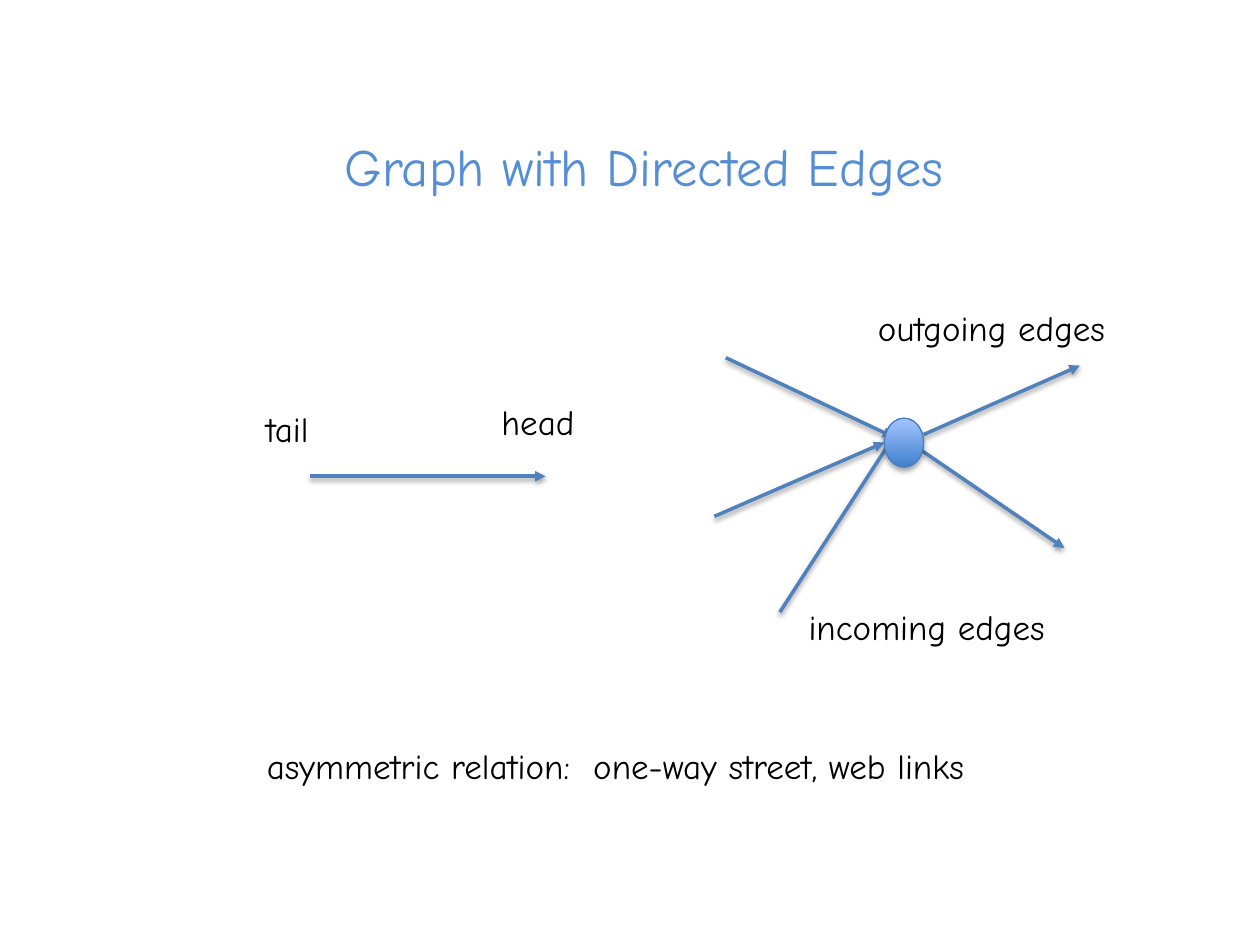
from dataclasses import dataclass

import pptx
import pptx.dml.color
import pptx.enum.shapes
import pptx.enum.text
import pptx.oxml
import pptx.oxml.ns
import pptx.util
from pptx.util import Cm


@dataclass(frozen=True)
class Theme:
    font: str = "Comic Neue"
    title_size: int = 30
    label_size: int = 20
    title_color: str = "558ED5"
    text_color: str = "000000"
    edge_color: str = "4F81BD"
    edge_width: float = 2
    node_bottom: str = "3F80CE"
    node_top: str = "A4C4FF"
    node_line: str = "4B7EBC"
    node_line_width: float = 0.75


@dataclass(frozen=True)
class Label:
    """A line of text; lengths in centimetres."""
    text: str
    left: float
    top: float
    width: float
    height: float = 1.12


@dataclass(frozen=True)
class Edge:
    """A directed edge from tail to head; points in centimetres."""
    tail: tuple[float, float]
    head: tuple[float, float]


THEME = Theme()

TITLE = Label("Graph with Directed Edges", 3.18, 1.65, 19.61, 3.38)
LABELS = [
    Label("tail", 5.11, 8.1, 2.26),
    Label("head", 9.86, 7.95, 2.26),
    Label("outgoing edges", 17.45, 6.05, 5.66),
    Label("incoming edges", 16.05, 12.09, 5.66),
    Label("asymmetric relation:  one-way street, web links", 5.13, 14.88, 23.44),
]

SINGLE_EDGE = Edge((6.25, 9.6), (11, 9.6))
INCOMING = [
    Edge((14.63, 7.21), (18.01, 8.81)),
    Edge((14.4, 10.41), (17.83, 8.92)),
    Edge((15.72, 12.34), (18.01, 8.81)),
]
OUTGOING = [
    Edge((18.62, 8.76), (21.77, 7.37)),
    Edge((18.59, 9.09), (21.46, 11.05)),
]
NODE_BOX = (17.83, 8.43, 0.79, 0.99)


def rgb(color: str) -> pptx.dml.color.RGBColor:
    return pptx.dml.color.RGBColor.from_string(color)


def add_shadow(shape, distance: float, opacity: int) -> None:
    """Give the shape a soft shadow straight below it."""
    shape._element.spPr.append(pptx.oxml.parse_xml(
        f'<a:effectLst {pptx.oxml.ns.nsdecls("a")}>'
        f'<a:outerShdw blurRad="{pptx.util.Pt(3.1)}" dist="{pptx.util.Pt(distance)}"'
        ' dir="5400000" rotWithShape="0"><a:srgbClr val="000000">'
        f'<a:alpha val="{opacity * 1000}"/></a:srgbClr></a:outerShdw></a:effectLst>'))


def add_label(s, label: Label, size: int, color: str):
    box = s.shapes.add_textbox(
        Cm(label.left), Cm(label.top), Cm(label.width), Cm(label.height))
    tf = box.text_frame
    tf.word_wrap = True
    tf.text = label.text
    r = tf.paragraphs[0].runs[0]
    r.font.name = THEME.font
    r.font.size = pptx.util.Pt(size)
    r.font.color.rgb = rgb(color)
    return tf


def add_title(s) -> None:
    tf = add_label(s, TITLE, THEME.title_size, THEME.title_color)
    tf.vertical_anchor = pptx.enum.text.MSO_ANCHOR.MIDDLE
    tf.paragraphs[0].alignment = pptx.enum.text.PP_ALIGN.CENTER


def add_edge(s, edge: Edge) -> None:
    line = s.shapes.add_connector(
        pptx.enum.shapes.MSO_CONNECTOR.STRAIGHT,
        *map(Cm, edge.tail + edge.head))
    line.line.color.rgb = rgb(THEME.edge_color)
    line.line.width = pptx.util.Pt(THEME.edge_width)
    line.line._get_or_add_ln().append(pptx.oxml.parse_xml(
        f'<a:tailEnd {pptx.oxml.ns.nsdecls("a")} type="triangle"/>'))
    add_shadow(line, distance=1.6, opacity=38)


def add_node(s) -> None:
    sp = s.shapes.add_shape(
        pptx.enum.shapes.MSO_SHAPE.OVAL, *map(Cm, NODE_BOX))
    sp.fill.gradient()
    sp.fill.gradient_angle = 90
    colors = (THEME.node_bottom, THEME.node_top)
    for stop, color in zip(sp.fill.gradient_stops, colors):
        stop.color.rgb = rgb(color)
    sp.line.color.rgb = rgb(THEME.node_line)
    sp.line.width = pptx.util.Pt(THEME.node_line_width)
    add_shadow(sp, distance=1.8, opacity=35)


def main() -> None:
    prs = pptx.Presentation()
    prs.slide_width, prs.slide_height = Cm(25.4), Cm(19.05)
    s = prs.slides.add_slide(prs.slide_layouts[6])
    add_title(s)
    for edge in [SINGLE_EDGE, *INCOMING, *OUTGOING]:
        add_edge(s, edge)
    add_node(s)
    for label in LABELS:
        add_label(s, label, THEME.label_size, THEME.text_color)
    prs.save("out.pptx")


if __name__ == "__main__":
    main()
